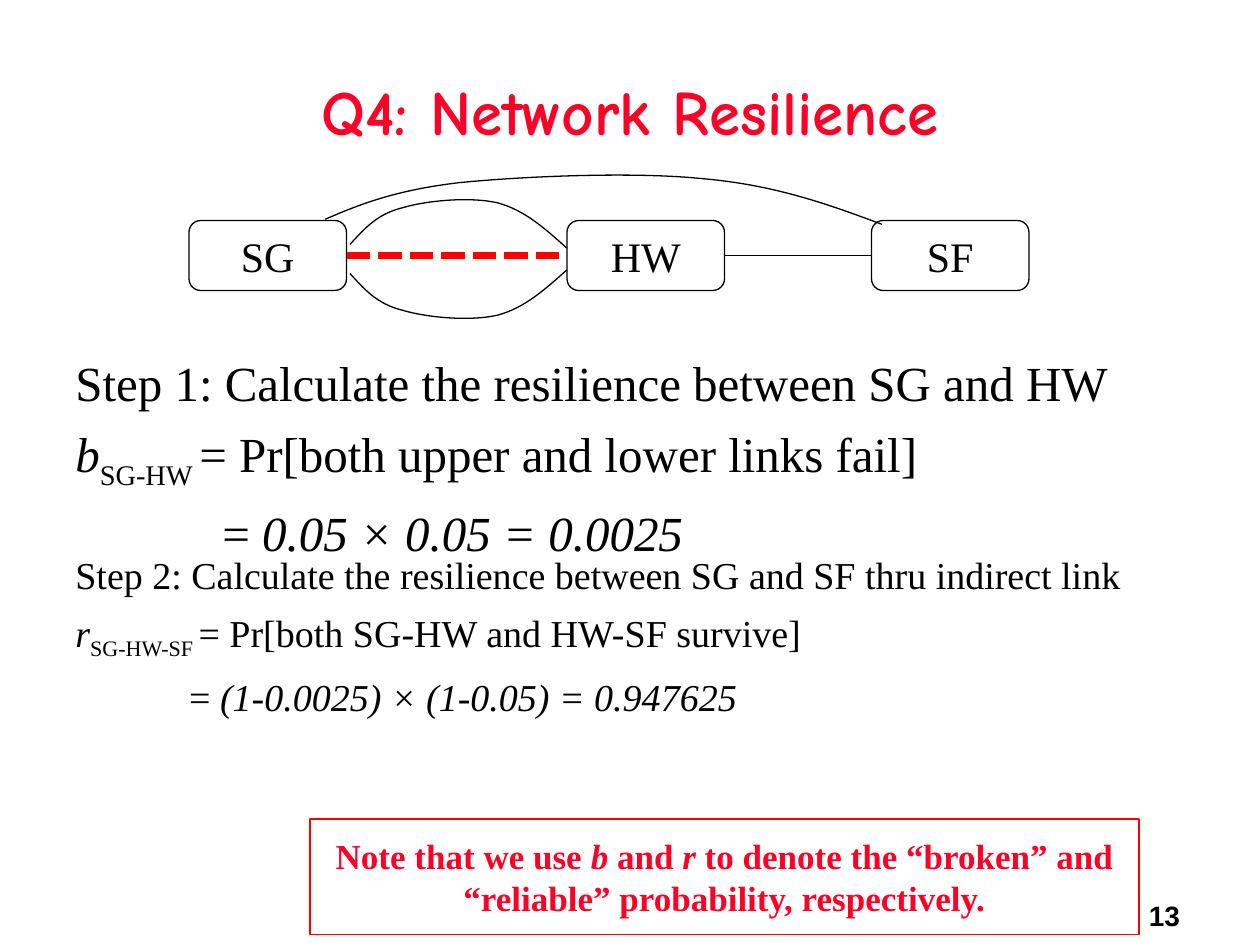
from pptx import Presentation
from pptx.dml.color import RGBColor
from pptx.enum.dml import MSO_LINE
from pptx.enum.shapes import MSO_CONNECTOR, MSO_SHAPE
from pptx.enum.text import MSO_ANCHOR, PP_ALIGN
from pptx.oxml.ns import qn
from pptx.util import Pt
from lxml import etree

SERIF = "Times New Roman"
BLACK, RED, CRIMSON = "000000", "FF0000", "FC0128"

TITLE = "Q4: Network Resilience"
PAGE = "13"
NODES = [("SG", 108), ("HW", 324), ("SF", 498)]
NODE_TOP, NODE_W, NODE_H = 126, 90, 40
LINKS = [("HW", "SF", BLACK, 0.75, None), ("SG", "HW", RED, 4.5, MSO_LINE.SQUARE_DOT)]

UPPER = [(200, 139.7), (208, 131), (215.3, 122.4), (229.7, 118.8), (244.1, 114.5),
         (268.6, 112.3), (284.4, 115.9), (300.2, 120.2), (311.8, 131), (324, 141.8)]
MIRROR_Y = 148
LOWER = [(x, 2 * MIRROR_Y - y) for x, y in UPPER]
OUTER = [(185.8, 125.3), (205.9, 116.6), (226.1, 108.7), (262.1, 104.4), (298.1, 100.8),
         (362.2, 97.9), (402.5, 102.2), (442.8, 105.8), (473, 116.6), (504, 128.2)]

HANGING = 27
STEPS = [
    (198, 28, 84, [
        [("Step 1: Calculate the resilience between SG and HW", "")],
        [("b", "i"), ("SG-HW ", "sub"), ("= Pr[both upper and lower links fail]", "")],
        [("= ", ""), ("0.05 × 0.05 = 0.0025", "i")],
    ]),
    (311.6, 21.7, 65, [
        [("Step 2: Calculate the resilience between SG and SF thru indirect link", "")],
        [("r", "i"), ("SG-HW-SF ", "sub"), ("= Pr[both SG-HW and HW-SF survive]", "")],
        [("= ", ""), ("(1", "i"), ("-", ""), ("0.0025) × (1-0.05) = 0.947625", "i")],
    ]),
]
NOTE = [("Note that we use ", ""), ("b", "i"), (" and ", ""), ("r", "i"),
        (" to denote the “broken” and “reliable” probability, respectively.", "")]


def rgb(value):
    return RGBColor.from_string(value)


def add_runs(p, runs, size, color=BLACK, font=SERIF, bold=False):
    for text, style in runs:
        r = p.add_run()
        r.text = text
        r.font.name, r.font.size, r.font.bold = font, Pt(size), bold
        r.font.italic = style == "i"
        r.font.color.rgb = rgb(color)
        if style == "sub":
            r._r.get_or_add_rPr().set("baseline", "-25000")


def outline(sp, color=BLACK, width=0.75):
    sp.shadow.inherit = False
    sp.fill.background()
    sp.line.color.rgb = rgb(color)
    sp.line.width = Pt(width)


def add_box(s, kind, x, y, w, h, color=BLACK, width=0.75):
    sp = s.shapes.add_shape(kind, Pt(x), Pt(y), Pt(w), Pt(h))
    outline(sp, color, width)
    sp.text_frame.paragraphs[0].alignment = PP_ALIGN.CENTER
    return sp


def add_text(s, x, y, w, h):
    tf = s.shapes.add_textbox(Pt(x), Pt(y), Pt(w), Pt(h)).text_frame
    tf.word_wrap = True
    return tf


def add_curve(s, points):
    start, *rest = [(Pt(x), Pt(y)) for x, y in points]
    builder = s.shapes.build_freeform(*start)
    builder.add_line_segments(rest, close=False)
    sp = builder.convert_to_shape()
    outline(sp)
    segments = list(sp._element.iter(qn("a:lnTo")))
    outline_path = segments[0].getparent()
    for i in range(0, len(segments), 3):
        curve = etree.SubElement(outline_path, qn("a:cubicBezTo"))
        for segment in segments[i:i + 3]:
            curve.append(segment[0])
            outline_path.remove(segment)


def add_link(s, start, end, color, width, dash):
    line = s.shapes.add_connector(MSO_CONNECTOR.STRAIGHT, 0, 0, 0, 0)
    line.begin_connect(start, 3)
    line.end_connect(end, 1)
    line.line.color.rgb = rgb(color)
    line.line.width = Pt(width)
    if dash:
        line.line.dash_style = dash
    etree.SubElement(line._element.spPr, qn("a:effectLst"))


def main():
    prs = Presentation()
    prs.slide_width, prs.slide_height = Pt(720), Pt(540)
    s = prs.slides.add_slide(prs.slide_layouts[6])

    add_runs(add_text(s, 649.4, 509.8, 91.4, 26).paragraphs[0], [(PAGE, "")], 16, font="Arial", bold=True)

    tf = add_text(s, 54, 18, 612, 90)
    tf.vertical_anchor = MSO_ANCHOR.MIDDLE
    tf.paragraphs[0].alignment = PP_ALIGN.CENTER
    add_runs(tf.paragraphs[0], [(TITLE, "")], 36, CRIMSON, "Comic Neue", True)

    nodes = {}
    for name, x in NODES:
        sp = nodes[name] = add_box(s, MSO_SHAPE.ROUNDED_RECTANGLE, x, NODE_TOP, NODE_W, NODE_H)
        sp.text_frame.vertical_anchor = MSO_ANCHOR.TOP
        add_runs(sp.text_frame.paragraphs[0], [(name, "")], 24)
    for start, end, color, width, dash in LINKS:
        add_link(s, nodes[start], nodes[end], color, width, dash)
    for points in (UPPER, LOWER, OUTER):
        add_curve(s, points)

    for top, size, indent, lines in STEPS:
        tf = add_text(s, 36, top, 612, 132)
        for i, runs in enumerate(lines):
            p = tf.paragraphs[0] if i == 0 else tf.add_paragraph()
            p.space_before = Pt(7)
            add_runs(p, runs, size)
            left, first = (indent, 0) if i == 2 else (HANGING, -HANGING)
            pPr = p._p.get_or_add_pPr()
            pPr.set("marL", str(Pt(left)))
            pPr.set("indent", str(Pt(first)))

    note = add_box(s, MSO_SHAPE.RECTANGLE, 177, 468, 474, 66, RED, 1)
    note.text_frame.word_wrap = True
    note.text_frame.vertical_anchor = MSO_ANCHOR.MIDDLE
    add_runs(note.text_frame.paragraphs[0], NOTE, 20, CRIMSON, bold=True)

    prs.save("out.pptx")


if __name__ == "__main__":
    main()
